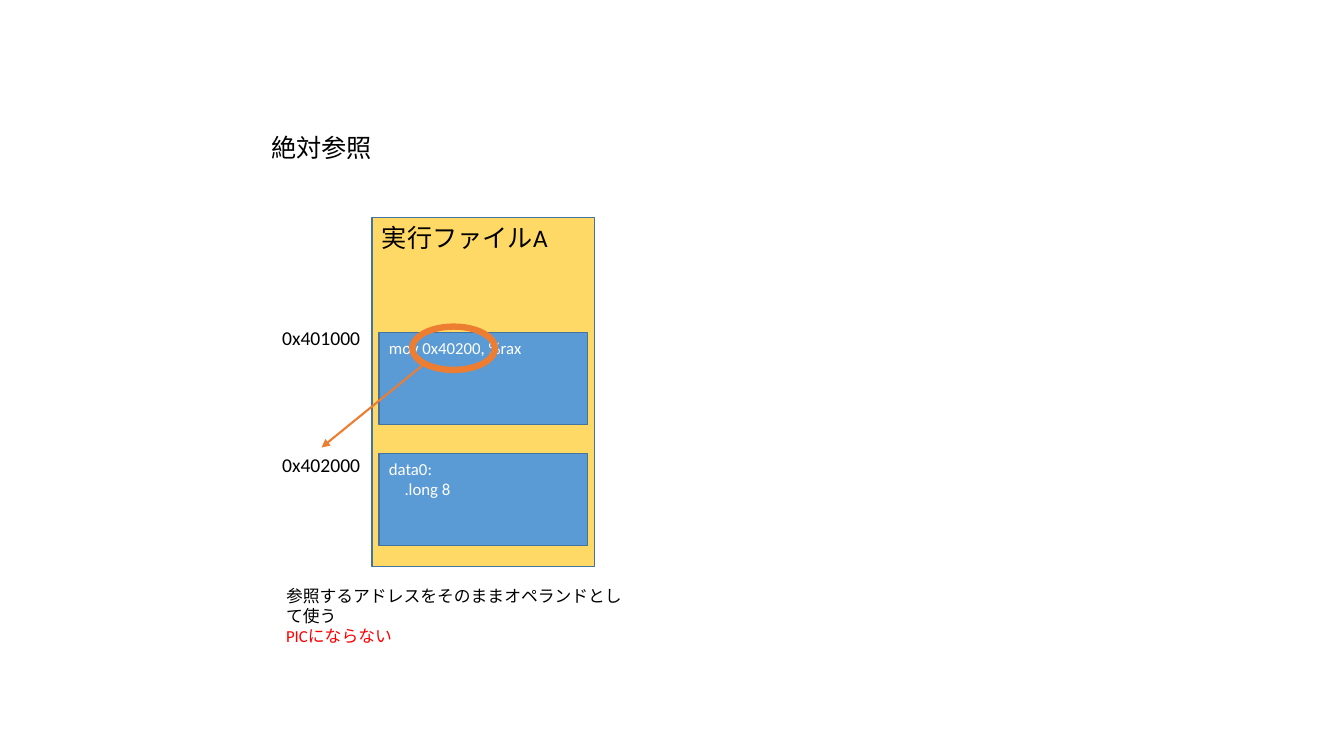
import pptx
import pptx.util
import pptx.dml.color
import pptx.enum.shapes
import pptx.enum.text
import pptx.oxml.ns
import lxml.etree

# Content: each line of text is (words, colour, indent in cells)
COLORS = {"black": "000000", "white": "FFFFFF", "red": "FF0000",
          "gold": "FFD966", "blue": "5B9BD5", "edge": "43739E", "orange": "ED7D31"}
TITLE = [("絶対参照", "black", 0)]
FILE = [("実行ファイルA", "black", 0)]
BLOCKS = [
    ("0x401000", 31.8, [("mov 0x40200, %rax", "white", 0)]),
    ("0x402000", 44.4, [("data0:", "white", 0), (".long 8", "white", 1.55)]),
]
NOTE = [("参照するアドレスをそのままオペランドとして使う", "black", 0),
        ("PICにならない", "red", 0)]

# Grid of square cells, ten to the inch
COLS, ROWS = 133.33, 75
CELL = pptx.util.Inches(0.1)
FRAME = (36.9, 21.6, 22.1, 34.6)
PAD = 0.7
BLOCK_TOP, BLOCK_GAP, BLOCK_HIGH = 33, 12, 9.1
RING = (40.9, 32.4, 8.2, 4.3)
ARROW = (42.1, 36.1, 31.9, 44.4)

SHAPE = pptx.enum.shapes.MSO_SHAPE
FONT = "Calibri"


def grid(*cells):
    return [int(n * CELL) for n in cells]


def color(name):
    return pptx.dml.color.RGBColor.from_string(COLORS[name])


def write(shape, lines, size, wrap=True):
    frame = shape.text_frame
    frame.word_wrap = wrap
    frame.vertical_anchor = pptx.enum.text.MSO_ANCHOR.TOP
    frame.text = "\n".join(words for words, _, _ in lines)
    for para, (_, tint, indent) in zip(frame.paragraphs, lines):
        para.alignment = pptx.enum.text.PP_ALIGN.LEFT
        if indent:
            para._p.get_or_add_pPr().set("marL", str(int(indent * CELL)))
        for run in para.runs:
            run.font.name = FONT
            run.font.size = pptx.util.Pt(size)
            run.font.color.rgb = color(tint)


def label(slide, box, lines, size, wrap=False):
    write(slide.shapes.add_textbox(*grid(*box)), lines, size, wrap)


def draw(slide, kind, box, fill, edge, width):
    shape = slide.shapes.add_shape(kind, *grid(*box))
    shape.shadow.inherit = False
    if fill:
        shape.fill.solid()
        shape.fill.fore_color.rgb = color(fill)
    else:
        shape.fill.background()
    shape.line.color.rgb = color(edge)
    shape.line.width = pptx.util.Pt(width)
    return shape


def arrow(slide, ends, tint, width):
    link = slide.shapes.add_connector(
        pptx.enum.shapes.MSO_CONNECTOR.STRAIGHT, *grid(*ends))
    link.line.color.rgb = color(tint)
    link.line.width = pptx.util.Pt(width)
    qn = pptx.oxml.ns.qn
    lxml.etree.SubElement(link.line._get_or_add_ln(), qn("a:tailEnd"), type="triangle")
    lxml.etree.SubElement(link._element.spPr, qn("a:effectLst"))


def main():
    deck = pptx.Presentation()
    deck.slide_width, deck.slide_height = grid(COLS, ROWS)
    slide = deck.slides.add_slide(deck.slide_layouts[6])

    # Title and file frame
    label(slide, (25.9, 12.6, 12.1, 4), TITLE, 18)
    write(draw(slide, SHAPE.RECTANGLE, FRAME, "gold", "edge", 1), FILE, 18)

    # Memory blocks with their addresses
    left, _, wide, _ = FRAME
    for i, (address, top, code) in enumerate(BLOCKS):
        box = (left + PAD, BLOCK_TOP + i * BLOCK_GAP, wide - 2 * PAD, BLOCK_HIGH)
        write(draw(slide, SHAPE.RECTANGLE, box, "blue", "edge", 1), code, 12)
        label(slide, (27, top, 9.9, 3.4), [(address, "black", 0)], 14)

    # Operand ring and its target
    draw(slide, SHAPE.OVAL, RING, None, "orange", 4.5)
    arrow(slide, ARROW, "orange", 1.5)

    # Note
    label(slide, (27.4, 57.6, 36, 5), NOTE, 12, wrap=True)
    deck.save("out.pptx")


if __name__ == "__main__":
    main()
